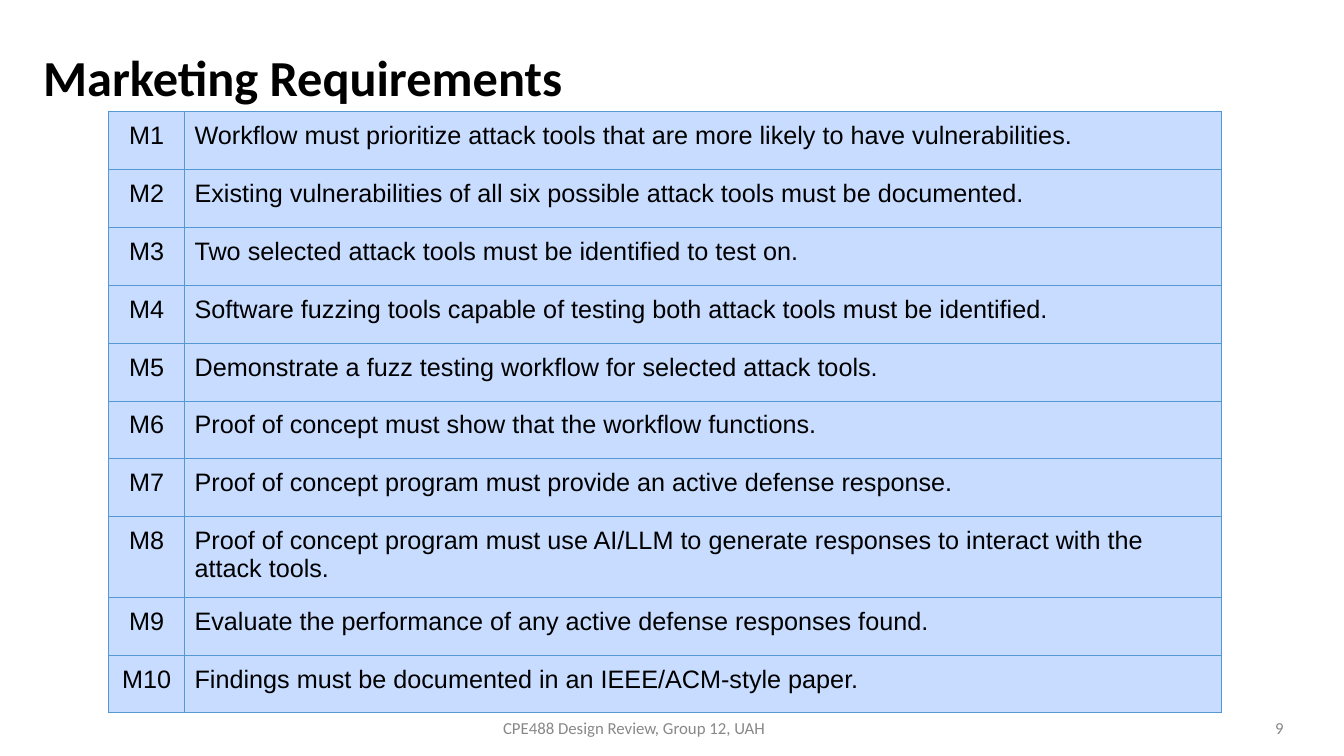
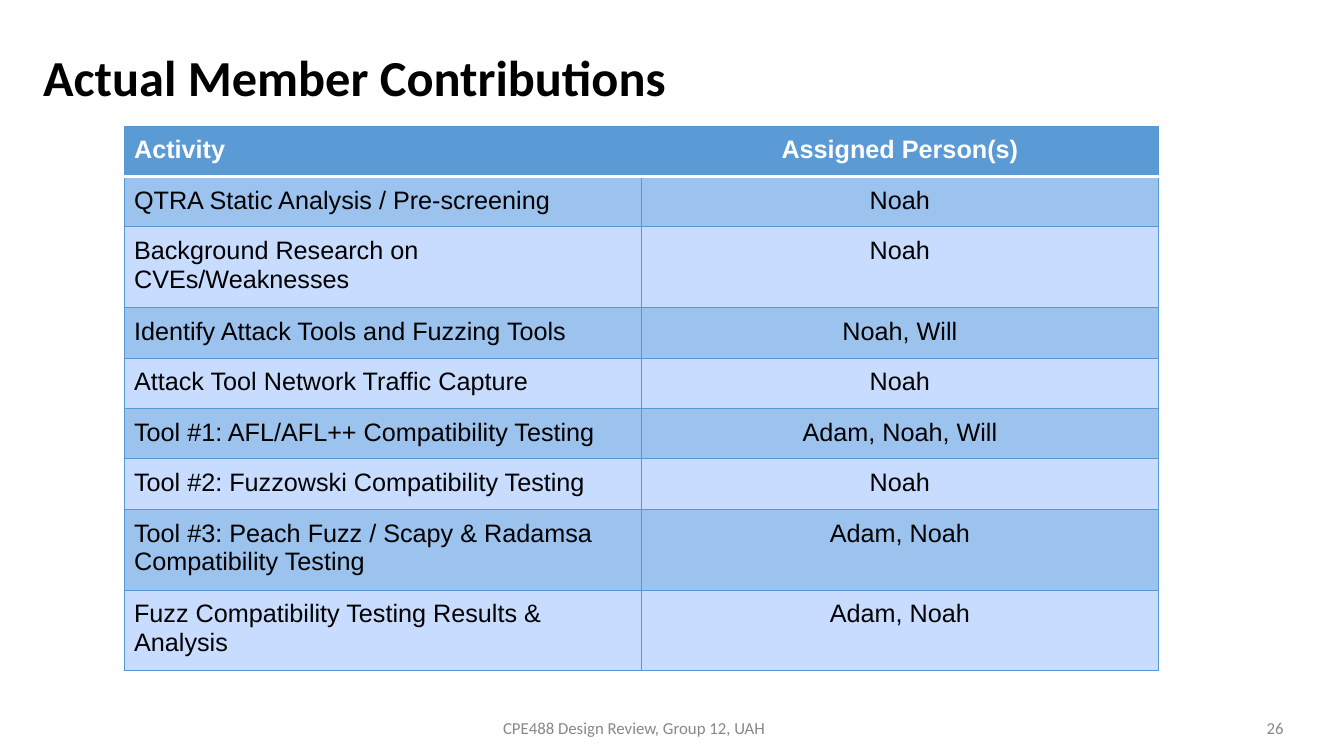
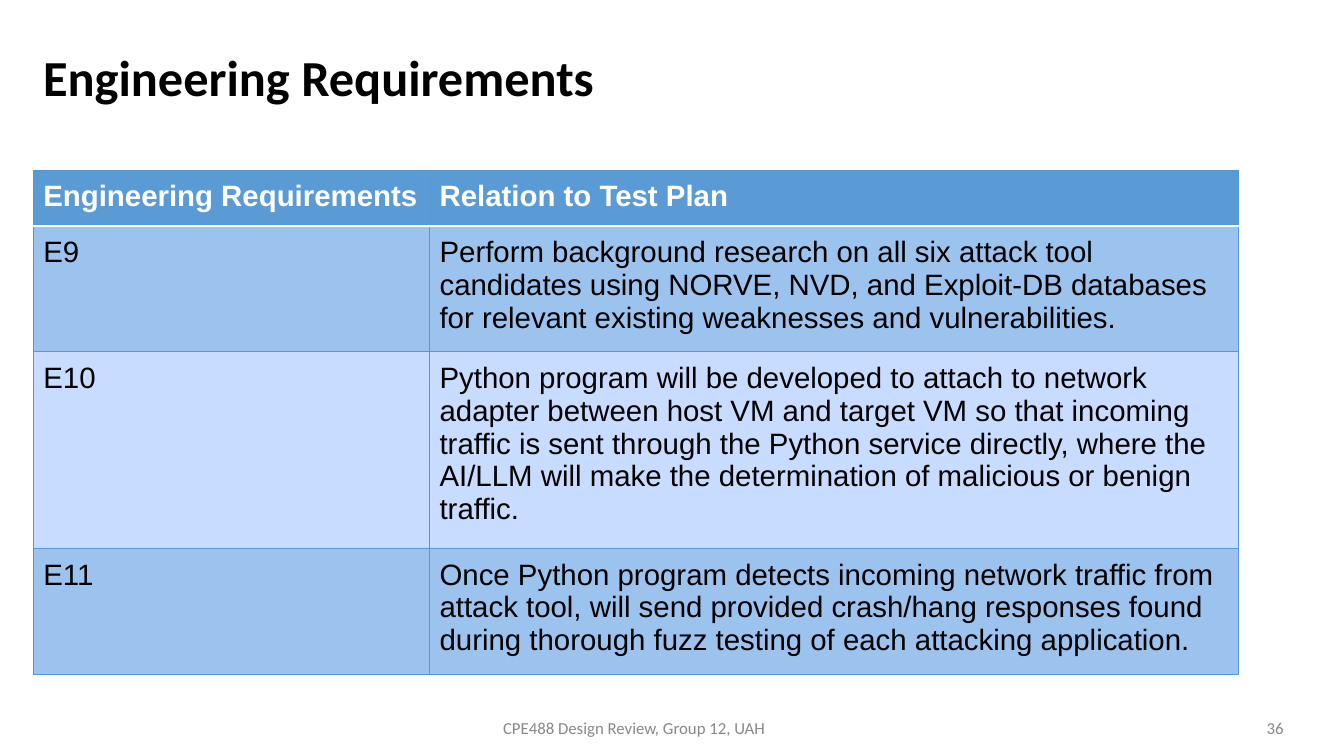
from lxml.etree import SubElement
from pptx import Presentation
from pptx.dml.color import RGBColor
from pptx.enum.text import MSO_ANCHOR, PP_ALIGN
from pptx.oxml.ns import qn
from pptx.util import Inches, Pt

# Shared look
BLACK = RGBColor(0x00, 0x00, 0x00)
WHITE = RGBColor(0xFF, 0xFF, 0xFF)
GRAY = RGBColor(0x88, 0x88, 0x88)
HEADER_BLUE = RGBColor(0x5B, 0x9B, 0xD5)
BAND_BLUE = RGBColor(0x9C, 0xC2, 0xEE)
PALE_BLUE = RGBColor(0xC7, 0xDC, 0xFF)
GRID_BLUE = RGBColor(0x56, 0x98, 0xD3)
TITLE_FONT = "Calibri"
TABLE_FONT = "Arial"
FOOTER = "CPE488 Design Review, Group 12, UAH"
GRID_LINE = (GRID_BLUE, 0.75)
HEADER_RULE = (WHITE, 2)
LEFT, CENTER, RIGHT = PP_ALIGN.LEFT, PP_ALIGN.CENTER, PP_ALIGN.RIGHT

# Table content
MARKETING = [
    "Workflow must prioritize attack tools that are more likely to have vulnerabilities.",
    "Existing vulnerabilities of all six possible attack tools must be documented.",
    "Two selected attack tools must be identified to test on.",
    "Software fuzzing tools capable of testing both attack tools must be identified.",
    "Demonstrate a fuzz testing workflow for selected attack tools.",
    "Proof of concept must show that the workflow functions.",
    "Proof of concept program must provide an active defense response.",
    "Proof of concept program must use AI/LLM to generate responses to interact "
    "with the attack tools.",
    "Evaluate the performance of any active defense responses found.",
    "Findings must be documented in an IEEE/ACM-style paper.",
]
CONTRIBUTIONS = [
    ("Activity", "Assigned Person(s)"),
    ("QTRA Static Analysis / Pre-screening", "Noah"),
    ("Background Research on CVEs/Weaknesses", "Noah"),
    ("Identify Attack Tools and Fuzzing Tools", "Noah, Will"),
    ("Attack Tool Network Traffic Capture", "Noah"),
    ("Tool #1: AFL/AFL++ Compatibility Testing", "Adam, Noah, Will"),
    ("Tool #2: Fuzzowski Compatibility Testing", "Noah"),
    ("Tool #3: Peach Fuzz / Scapy & Radamsa Compatibility Testing", "Adam, Noah"),
    ("Fuzz Compatibility Testing Results & Analysis", "Adam, Noah"),
]
ENGINEERING = [
    ("Engineering Requirements", "Relation to Test Plan"),
    ("E9", "Perform background research on all six attack tool candidates using "
           "NORVE, NVD, and Exploit-DB databases for relevant existing weaknesses "
           "and vulnerabilities."),
    ("E10", "Python program will be developed to attach to network adapter between "
            "host VM and target VM so that incoming traffic is sent through the "
            "Python service directly, where the AI/LLM will make the determination "
            "of malicious or benign traffic."),
    ("E11", "Once Python program detects incoming network traffic from attack tool, "
            "will send provided crash/hang responses found during thorough fuzz "
            "testing of each attacking application."),
]


def style_paragraph(p, font, size, color, align=LEFT, bold=False):
    p.alignment = align
    for r in p.runs:
        r.font.name = font
        r.font.size = Pt(size)
        r.font.color.rgb = color
        r.font.bold = bold


def add_text(s, text, left, top, width, height, size, color, align=LEFT, bold=False):
    tf = s.shapes.add_textbox(Inches(left), Inches(top),
                              Inches(width), Inches(height)).text_frame
    tf.word_wrap = True
    tf.vertical_anchor = MSO_ANCHOR.MIDDLE
    tf.text = text
    p = tf.paragraphs[0]
    style_paragraph(p, TITLE_FONT, size, color, align, bold)
    return p


def add_slide(prs, title, number):
    """Slide with the shared title, footer and page number."""
    s = prs.slides.add_slide(prs.slide_layouts[6])
    p = add_text(s, title, 0.33, 0.34, 12.5, 0.91, 36, BLACK, bold=True)
    p.line_spacing = 0.9
    add_text(s, FOOTER, 0.33, 7.08, 11.92, 0.28, 12, GRAY, CENTER)
    add_text(s, str(number), 12.33, 7.08, 0.5, 0.28, 12, GRAY, RIGHT)
    return s


def set_borders(cell, top, bottom):
    tc_pr = cell._tc.get_or_add_tcPr()
    sides = {"a:lnL": GRID_LINE, "a:lnR": GRID_LINE, "a:lnT": top, "a:lnB": bottom}
    for tag, (color, width) in sides.items():
        ln = SubElement(tc_pr, qn(tag), w=str(Pt(width)))
        fill = SubElement(ln, qn("a:solidFill"))
        SubElement(fill, qn("a:srgbClr"), val=str(color))


def add_grid(s, rows, left, top, col_widths, height, size, aligns, header=True):
    """Table with an optional header row above banded body rows."""
    table = s.shapes.add_table(len(rows), len(col_widths), Inches(left), Inches(top),
                               Inches(sum(col_widths)), Inches(height)).table
    table.first_row = header
    table.horz_banding = False
    for column, width in zip(table.columns, col_widths):
        column.width = Inches(width)
    for i, row in enumerate(rows):
        is_header = header and i == 0
        if is_header:
            back = HEADER_BLUE
        else:
            back = BAND_BLUE if header and i % 2 else PALE_BLUE
        for j, text in enumerate(row):
            cell = table.cell(i, j)
            cell.margin_left = cell.margin_right = Inches(0.1)
            cell.margin_top = cell.margin_bottom = Inches(0.1)
            cell.text = text
            style_paragraph(cell.text_frame.paragraphs[0], TABLE_FONT, size,
                            WHITE if is_header else BLACK, aligns[j], is_header)
            set_borders(cell, HEADER_RULE if header and i == 1 else GRID_LINE,
                        HEADER_RULE if is_header else GRID_LINE)
            cell.fill.solid()
            cell.fill.fore_color.rgb = back


def main():
    prs = Presentation()
    prs.slide_width, prs.slide_height = Inches(13.33), Inches(7.5)

    # Marketing requirements, numbered M1 onwards
    s = add_slide(prs, "Marketing Requirements", 9)
    rows = [(f"M{n}", text) for n, text in enumerate(MARKETING, 1)]
    add_grid(s, rows, 1.08, 1.11, (0.75, 10.28), 5.74, 18, (CENTER, LEFT), header=False)

    # Who did what; rows grow with their text
    s = add_slide(prs, "Actual Member Contributions", 26)
    add_grid(s, CONTRIBUTIONS, 1.23, 1.25, (5.13, 5.13), 3.7, 18, (LEFT, CENTER))

    # Engineering requirements and test plan
    s = add_slide(prs, "Engineering Requirements", 36)
    add_grid(s, ENGINEERING, 0.33, 1.69, (3.93, 8.02), 1.64, 21, (LEFT, LEFT))

    prs.save("out.pptx")


if __name__ == "__main__":
    main()
